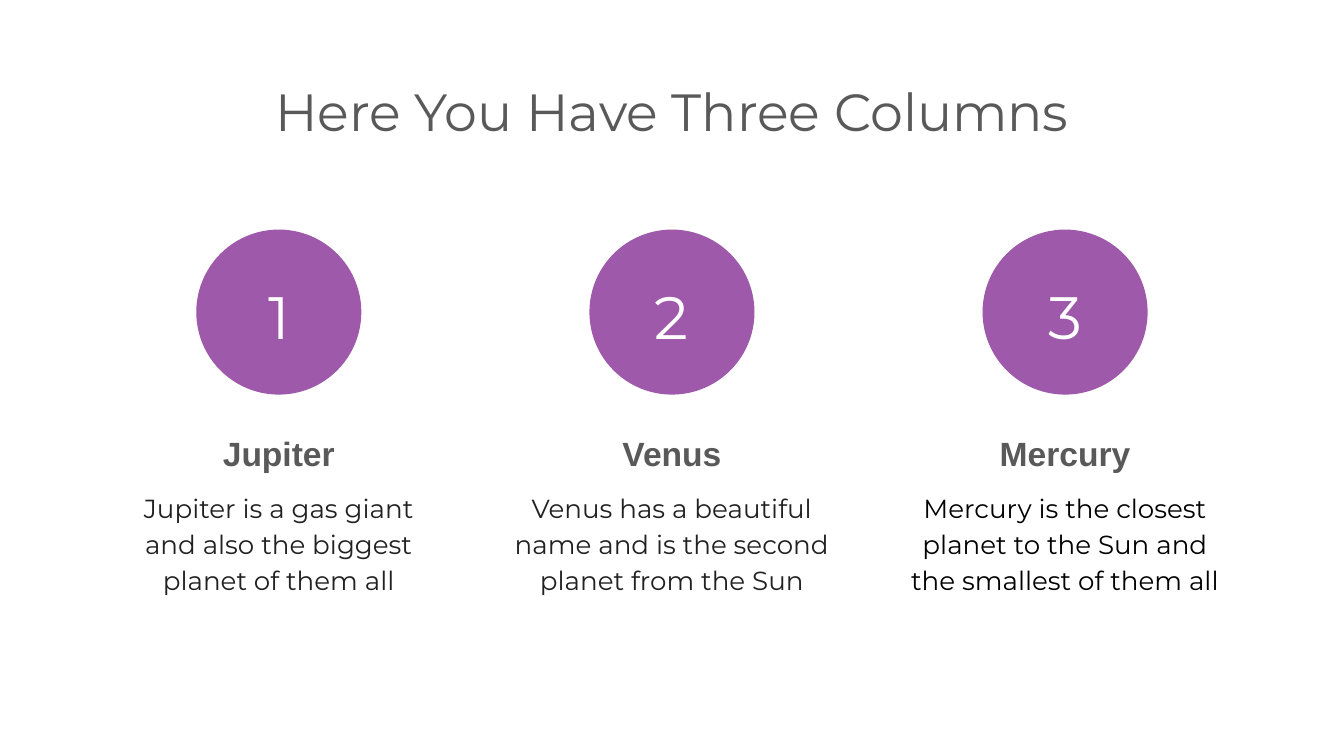
from dataclasses import dataclass

from pptx import Presentation
from pptx.dml.color import RGBColor
from pptx.enum.shapes import MSO_SHAPE
from pptx.enum.text import MSO_ANCHOR, PP_ALIGN
from pptx.util import Cm, Pt

OVAL = MSO_SHAPE.OVAL
CENTER = PP_ALIGN.CENTER
TOP, MIDDLE = MSO_ANCHOR.TOP, MSO_ANCHOR.MIDDLE

TITLE = "Here You Have Three Columns"
COLUMNS = [
    ("1", "Jupiter", "Jupiter is a gas giant and also the biggest planet of them all", "212121"),
    ("2", "Venus", "Venus has a beautiful name and is the second planet from the Sun", "212121"),
    ("3", "Mercury", "Mercury is the closest planet to the Sun and the smallest of them all", "000000"),
]


@dataclass(frozen=True)
class Theme:
    background: str = "FFFFFF"
    accent: str = "9E59AA"
    heading: str = "595959"
    number: str = "FFFFFF"
    display_font: str = "Montserrat"
    heading_font: str = "Arial"
    title_size: int = 28
    number_size: int = 32
    heading_size: int = 18
    body_size: int = 14


THEME = Theme()
SLIDE_WIDTH, SLIDE_HEIGHT = 25.4, 14.29
MARGIN = 1.98
COLUMN_WIDTH = 6.58
CIRCLE_SIZE = 3.12
NUMBER_SIZE = 1.47
INSET = 0.25
CONTENT_WIDTH = SLIDE_WIDTH - 2 * MARGIN
COLUMN_PITCH = (CONTENT_WIDTH - COLUMN_WIDTH) / (len(COLUMNS) - 1)


def add_text(slide, text, center, top, width, height, size, color,
             font=THEME.display_font, bold=False, anchor=TOP, line_spacing=1.0):
    box = slide.shapes.add_textbox(Cm(center - width / 2), Cm(top), Cm(width), Cm(height))
    frame = box.text_frame
    frame.word_wrap = True
    frame.vertical_anchor = anchor
    frame.margin_left = frame.margin_right = Cm(INSET)
    frame.margin_top = frame.margin_bottom = Cm(INSET)
    paragraph = frame.paragraphs[0]
    paragraph.alignment = CENTER
    paragraph.line_spacing = line_spacing
    run = paragraph.add_run()
    run.text = text
    run.font.name = font
    run.font.size = Pt(size)
    run.font.bold = bold
    run.font.color.rgb = RGBColor.from_string(color)


def add_circle(slide, center, top):
    circle = slide.shapes.add_shape(
        OVAL, Cm(center - CIRCLE_SIZE / 2), Cm(top), Cm(CIRCLE_SIZE), Cm(CIRCLE_SIZE))
    circle.shadow.inherit = False
    circle.fill.solid()
    circle.fill.fore_color.rgb = RGBColor.from_string(THEME.accent)
    circle.line.fill.background()


def add_column(slide, center, number, heading, body, body_color):
    add_circle(slide, center, 4.34)
    add_text(slide, number, center, 5.23, NUMBER_SIZE, NUMBER_SIZE,
             THEME.number_size, THEME.number, anchor=MIDDLE)
    add_text(slide, heading, center, 7.82, COLUMN_WIDTH, 1.6, THEME.heading_size,
             THEME.heading, font=THEME.heading_font, bold=True, line_spacing=1.15)
    add_text(slide, body, center, 8.97, COLUMN_WIDTH, 3.33, THEME.body_size,
             body_color, line_spacing=1.15)


def main():
    presentation = Presentation()
    presentation.slide_width = Cm(SLIDE_WIDTH)
    presentation.slide_height = Cm(SLIDE_HEIGHT)
    slide = presentation.slides.add_slide(presentation.slide_layouts[6])
    slide.background.fill.solid()
    slide.background.fill.fore_color.rgb = RGBColor.from_string(THEME.background)

    add_text(slide, TITLE, SLIDE_WIDTH / 2, 1.24, CONTENT_WIDTH, 1.6,
             THEME.title_size, THEME.heading)
    for index, column in enumerate(COLUMNS):
        center = MARGIN + COLUMN_WIDTH / 2 + index * COLUMN_PITCH
        add_column(slide, center, *column)

    presentation.save("out.pptx")


if __name__ == "__main__":
    main()
